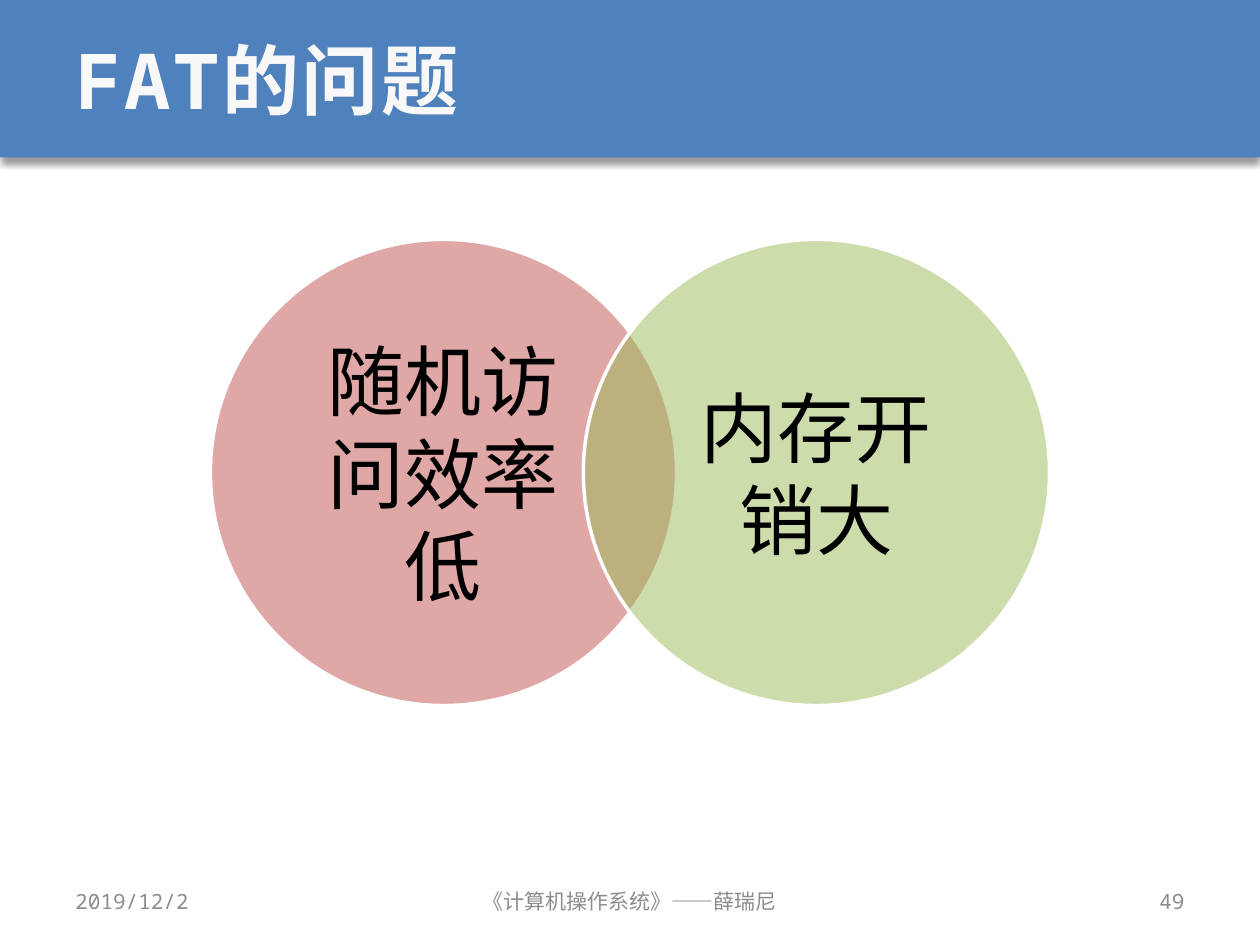
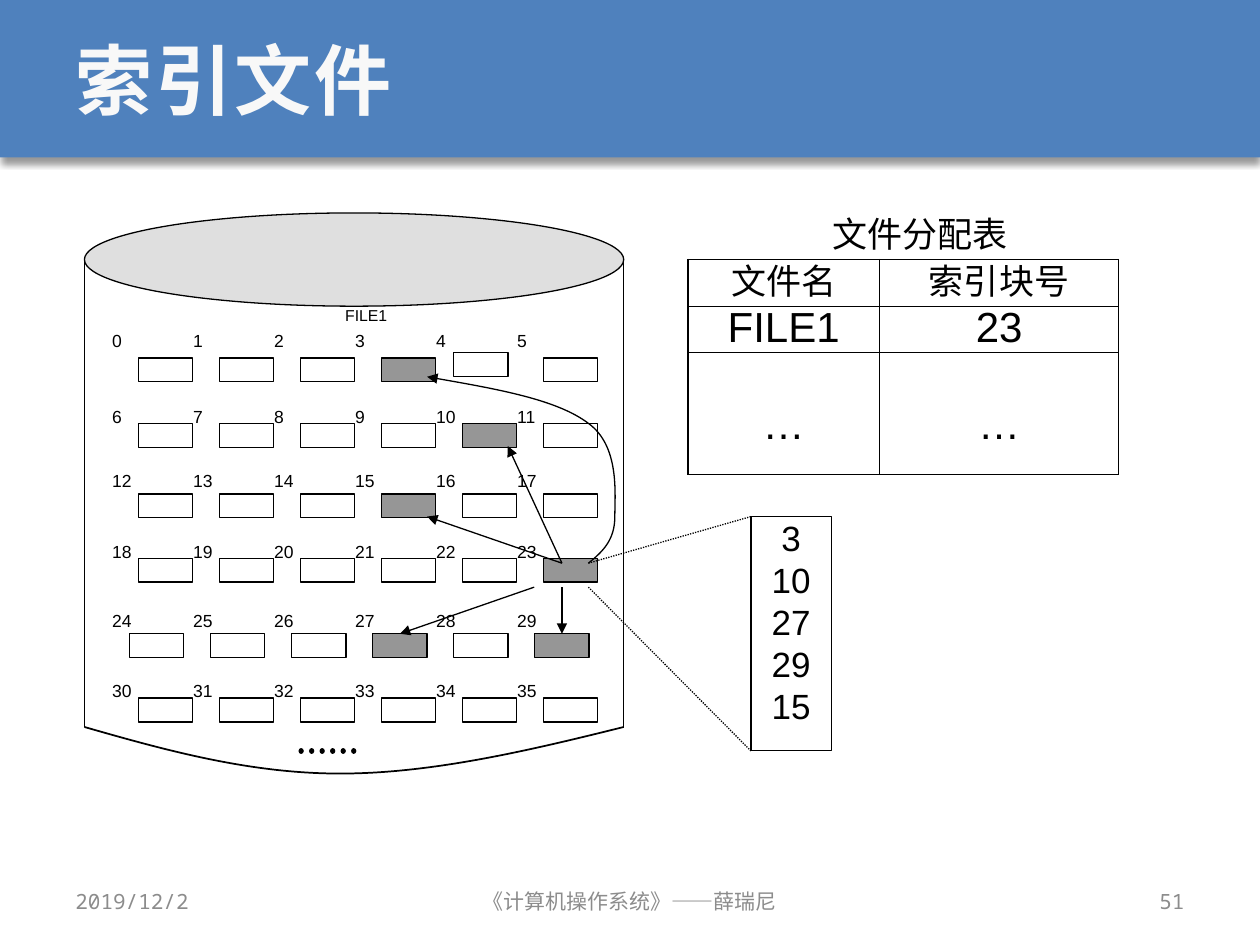
from dataclasses import dataclass

from lxml import etree
from pptx import Presentation
from pptx import util as u
from pptx.dml.color import RGBColor
from pptx.enum import dml, shapes, text
from pptx.oxml.ns import qn


@dataclass(frozen=True)
class Theme:
    band: str = "4F81BD"
    title: str = "F8F8F8"
    footer: str = "8C8C8C"
    ink: str = "000000"
    white: str = "FFFFFF"
    red: str = "C0504D"
    green: str = "9BBB59"
    used_block: str = "969696"
    disk_top: str = "C0C0C0"
    body_font: str = "Arial"
    frame_font: str = "Noto Sans Mono"
    title_size: int = 44
    table_size: int = 24
    list_size: int = 20
    footer_size: int = 12
    label_size: int = 10
    small_size: int = 9
    hairline: float = 0.75


T = Theme()
WIDTH, HEIGHT = 10, 7.5
LEFT, RIGHT, CENTER = text.PP_ALIGN.LEFT, text.PP_ALIGN.RIGHT, text.PP_ALIGN.CENTER
TOP, MIDDLE = text.MSO_ANCHOR.TOP, text.MSO_ANCHOR.MIDDLE
RECT, OVAL = shapes.MSO_SHAPE.RECTANGLE, shapes.MSO_SHAPE.OVAL

DATE = "2019/12/2"
COURSE = "《计算机操作系统》——薛瑞尼"
BAND_HEIGHT = HEIGHT / 6
MARGIN = WIDTH / 20

# Slide 49: two overlapping problems
PROBLEMS = [("随机访问效率低", T.red), ("内存开销大", T.green)]
CIRCLE = 3.7
CIRCLE_STEP = 0.8 * CIRCLE
CIRCLE_TOP = 1.9

# Slide 51: disk blocks and the index of FILE1
INDEX_BLOCK = 23
FILE_BLOCKS = [3, 10, 27, 29, 15]
ALLOCATION = [("文件名", "索引块号"), ("FILE1", str(INDEX_BLOCK)), ("…", "…")]
ALLOCATION_COLUMNS = [1.52, 1.9]
ALLOCATION_ROWS = [0.37, 0.37, 0.97]
TABLE_LEFT, TABLE_TOP = 5.46, 2.06

DISK_LEFT, DISK_TOP, DISK_WIDTH, LID_HEIGHT = 0.67, 1.69, 4.28, 0.74
DISK_RIM, DISK_BASE = DISK_TOP + LID_HEIGHT / 2, 5.77
BLOCK_COLUMNS = 6
BLOCK_STEP = 0.643
BLOCK_SIZE = 0.43, 0.19
LABEL_LEFT = 0.89
# label top, first block left, block top for each row of blocks
BLOCK_ROWS = [
    (2.62, 1.1, 2.84),
    (3.22, 1.1, 3.36),
    (3.73, 1.1, 3.92),
    (4.29, 1.1, 4.43),
    (4.84, 1.03, 5.03),
    (5.4, 1.1, 5.54),
]
BLOCK_SHIFTS = {4: (-0.07, -0.04)}
INDEX_LIST = 5.96, 4.1, 0.64, 1.86


def rgb(value):
    return RGBColor.from_string(value)


def inches(*values):
    return [u.Inches(v) for v in values]


def sub(parent, tag, **attributes):
    return etree.SubElement(parent, qn(tag), attributes)


def write(frame, content, size=T.label_size, font=T.body_font, color=T.ink, bold=False,
          align=LEFT, anchor=TOP, inset=(0, 0), spacing=None):
    """Fill a text frame or table cell, one paragraph per line of content."""
    cell_like = not hasattr(frame, "word_wrap")
    body = frame.text_frame if cell_like else frame
    body.word_wrap = True
    if cell_like:
        frame.vertical_anchor = anchor
    else:
        body.vertical_anchor = anchor
    frame.margin_left = frame.margin_right = u.Inches(inset[0])
    frame.margin_top = frame.margin_bottom = u.Inches(inset[1])
    body.text = content
    for paragraph in body.paragraphs:
        paragraph.alignment = align
        if spacing:
            paragraph.line_spacing = u.Pt(spacing)
        for run in paragraph.runs:
            run.font.name, run.font.size, run.font.bold = font, u.Pt(size), bold
            run.font.color.rgb = rgb(color)


def add_label(slide, box, content, **style):
    write(slide.shapes.add_textbox(*inches(*box)).text_frame, content, **style)


def add_box(slide, kind, box, fill=None, alpha=None, line=T.ink, weight=T.hairline):
    shape = slide.shapes.add_shape(kind, *inches(*box))
    shape.shadow.inherit = False
    if fill:
        shape.fill.solid()
        shape.fill.fore_color.rgb = rgb(fill)
        if alpha:
            color = shape.element.spPr.find(qn("a:solidFill"))[0]
            sub(color, "a:alpha", val=str(alpha * 1000))
    else:
        shape.fill.background()
    if line:
        shape.line.color.rgb = rgb(line)
        shape.line.width = u.Pt(weight)
    else:
        shape.line.fill.background()
    return shape


def style_line(shape, weight=T.hairline, dotted=False, arrow=False, round_cap=False):
    shape.line.color.rgb = rgb(T.ink)
    shape.line.width = u.Pt(weight)
    if dotted:
        shape.line.dash_style = dml.MSO_LINE.ROUND_DOT
    ln = shape.element.spPr.find(qn("a:ln"))
    if round_cap:
        ln.set("cap", "rnd")
    if arrow:
        sub(ln, "a:tailEnd", type="triangle")


def add_line(slide, start, end, end_block=None, **style):
    line = slide.shapes.add_connector(shapes.MSO_CONNECTOR.STRAIGHT, *inches(*start, *end))
    if end_block is not None:
        line.end_connect(end_block, 0)
    style_line(line, **style)
    sub(line.element.spPr, "a:effectLst")


def add_curve(slide, start, controls, **style):
    """Draw cubic curves; controls holds three points for each curve."""
    builder = slide.shapes.build_freeform(*inches(*start))
    builder.add_line_segments([inches(*point) for point in controls], close=False)
    curve = builder.convert_to_shape()
    curve.shadow.inherit = False
    curve.fill.background()
    outline = next(curve.element.iter(qn("a:path")))
    segments = outline.findall(qn("a:lnTo"))
    for i in range(0, len(segments), 3):
        bezier = sub(outline, "a:cubicBezTo")
        for segment in segments[i:i + 3]:
            bezier.append(segment[0])
            outline.remove(segment)
    style_line(curve, **style)


def start_slide(deck, title, number):
    slide = deck.slides.add_slide(deck.slide_layouts[5])
    heading = slide.shapes.title
    band = add_box(slide, RECT, (0, 0, WIDTH, BAND_HEIGHT), T.band, line=None)
    shadow = sub(band.element.spPr.find(qn("a:effectLst")), "a:outerShdw",
                 blurRad=str(u.Pt(4)), dist=str(u.Pt(3)), dir="5400000", rotWithShape="0")
    sub(sub(shadow, "a:srgbClr", val=T.ink), "a:alpha", val="40000")
    heading.element.addprevious(band.element)

    heading.left, heading.top, heading.width, heading.height = inches(
        MARGIN, 0, WIDTH - 2 * MARGIN, BAND_HEIGHT)
    write(heading.text_frame, title, size=T.title_size, font=T.frame_font, color=T.title,
          bold=True, anchor=MIDDLE, inset=(0.1, 0.05))
    for properties in heading.element.iter(qn("a:rPr")):
        properties.set("spc", "150")

    side, middle = 2.33, 3.17
    for content, left, width, align in [
        (DATE, MARGIN, side, LEFT),
        (COURSE, (WIDTH - middle) / 2, middle, CENTER),
        (str(number), WIDTH - MARGIN - side, side, RIGHT),
    ]:
        add_label(slide, (left, 6.95, width, 0.4), content, size=T.footer_size,
                  font=T.frame_font, color=T.footer, align=align, anchor=MIDDLE,
                  inset=(0.1, 0.05))
    return slide


def add_problems(slide):
    first_left = (WIDTH - CIRCLE - CIRCLE_STEP) / 2
    for i, (problem, color) in enumerate(PROBLEMS):
        circle = add_box(slide, OVAL, (first_left + i * CIRCLE_STEP, CIRCLE_TOP, CIRCLE, CIRCLE),
                         color, alpha=50, line=T.white, weight=2)
        write(circle.text_frame, problem, size=T.title_size, align=CENTER, anchor=MIDDLE,
              inset=(0.2, 0.06))


def add_disk(slide):
    right = DISK_LEFT + DISK_WIDTH
    add_curve(slide, (DISK_LEFT, DISK_BASE),
              [(1.33, 5.96), (1.99, 6.14), (2.7, 6.14),
               (3.42, 6.14), (4.19, 5.96), (right, DISK_BASE)], weight=1)
    add_box(slide, OVAL, (DISK_LEFT, DISK_TOP, DISK_WIDTH, LID_HEIGHT), T.disk_top, alpha=50)
    for x in (DISK_LEFT, right):
        add_line(slide, (x, DISK_RIM), (x, DISK_BASE))
    add_line(slide, (2.39, 5.96), (2.81, 5.96), weight=3, dotted=True, round_cap=True)
    add_label(slide, (2.74, 2.43, 0.86, 0.37), "FILE1", size=T.small_size)


def add_blocks(slide):
    blocks = []
    for row, (label_top, block_left, block_top) in enumerate(BLOCK_ROWS):
        for column in range(BLOCK_COLUMNS):
            number = row * BLOCK_COLUMNS + column
            dx, dy = BLOCK_SHIFTS.get(number, (0, 0))
            offset = column * BLOCK_STEP
            used = number in FILE_BLOCKS + [INDEX_BLOCK]
            blocks.append(add_box(slide, RECT,
                                  (block_left + offset + dx, block_top + dy, *BLOCK_SIZE),
                                  T.used_block if used else None))
            add_label(slide, (LABEL_LEFT + offset, label_top, 0.43, 0.37), str(number))
    return blocks


def add_allocation_table(slide):
    add_label(slide, (TABLE_LEFT, DISK_TOP, 3.68, 0.37), "文件分配表", size=T.list_size,
              align=CENTER)
    table = slide.shapes.add_table(
        len(ALLOCATION), len(ALLOCATION_COLUMNS),
        *inches(TABLE_LEFT, TABLE_TOP, sum(ALLOCATION_COLUMNS), sum(ALLOCATION_ROWS))).table
    table.first_row = table.horz_banding = False
    for column, width in zip(table.columns, ALLOCATION_COLUMNS):
        column.width = u.Inches(width)
    for r, (row, height) in enumerate(zip(ALLOCATION, ALLOCATION_ROWS)):
        table.rows[r].height = u.Inches(height)
        for c, content in enumerate(row):
            cell = table.cell(r, c)
            write(cell, content, size=T.table_size if r else T.list_size, align=CENTER,
                  spacing=26)
            if content == "…":
                cell.margin_top = u.Inches(0.4)
            for side in ("a:lnL", "a:lnR", "a:lnT", "a:lnB"):
                border = sub(cell._tc.get_or_add_tcPr(), side, w=str(u.Pt(T.hairline)))
                sub(sub(border, "a:solidFill"), "a:srgbClr", val=T.ink)
            cell.fill.background()


def add_index(slide, blocks):
    """Link the index block to the blocks of the file and to its enlarged list."""
    center, corner, top, bottom = 4.46, 4.67, 4.47, 4.66
    add_line(slide, (4.24, bottom), (3.17, 5.03), end_block=blocks[27], arrow=True)
    add_line(slide, (center, bottom), (center, 5.03), end_block=blocks[29], arrow=True)
    add_line(slide, (center, top), (3.39, 4.1), arrow=True)
    add_line(slide, (center, top), (4.03, 3.54), arrow=True)
    add_curve(slide, (corner, top),
              [(4.78, 4.38), (4.88, 4.29), (4.88, 4.1),
               (4.88, 3.92), (4.92, 3.54), (4.67, 3.36),
               (4.42, 3.17), (3.9, 3.08), (3.39, 2.99)], arrow=True)

    left, list_top, _, height = INDEX_LIST
    listing = add_box(slide, RECT, INDEX_LIST)
    write(listing.text_frame, "\n".join(map(str, FILE_BLOCKS)), size=T.list_size,
          align=CENTER, spacing=24)
    add_line(slide, (corner, top), (left, list_top), dotted=True)
    add_line(slide, (corner, bottom), (left, list_top + height), dotted=True)


def main():
    deck = Presentation()
    deck.slide_width, deck.slide_height = inches(WIDTH, HEIGHT)
    add_problems(start_slide(deck, "FAT的问题", 49))

    index_slide = start_slide(deck, "索引文件", 51)
    add_disk(index_slide)
    blocks = add_blocks(index_slide)
    add_allocation_table(index_slide)
    add_index(index_slide, blocks)
    deck.save("out.pptx")


if __name__ == "__main__":
    main()
